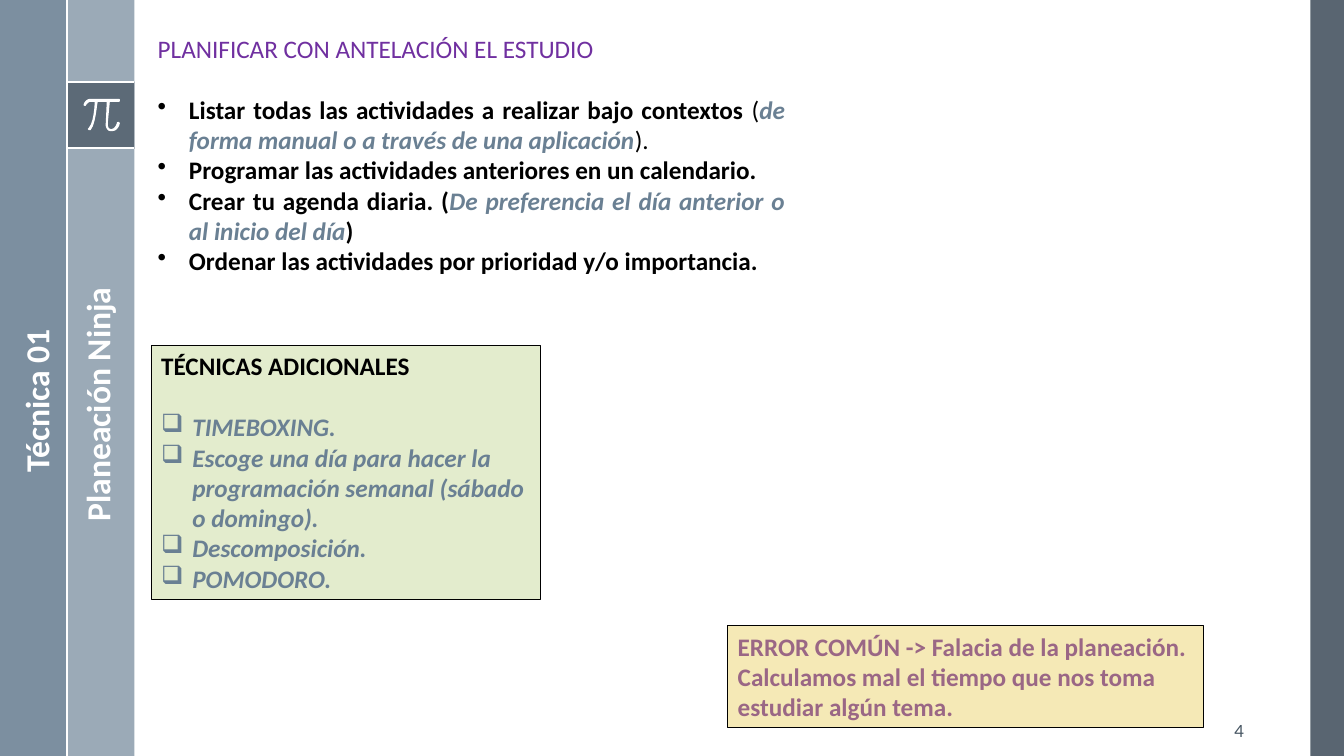
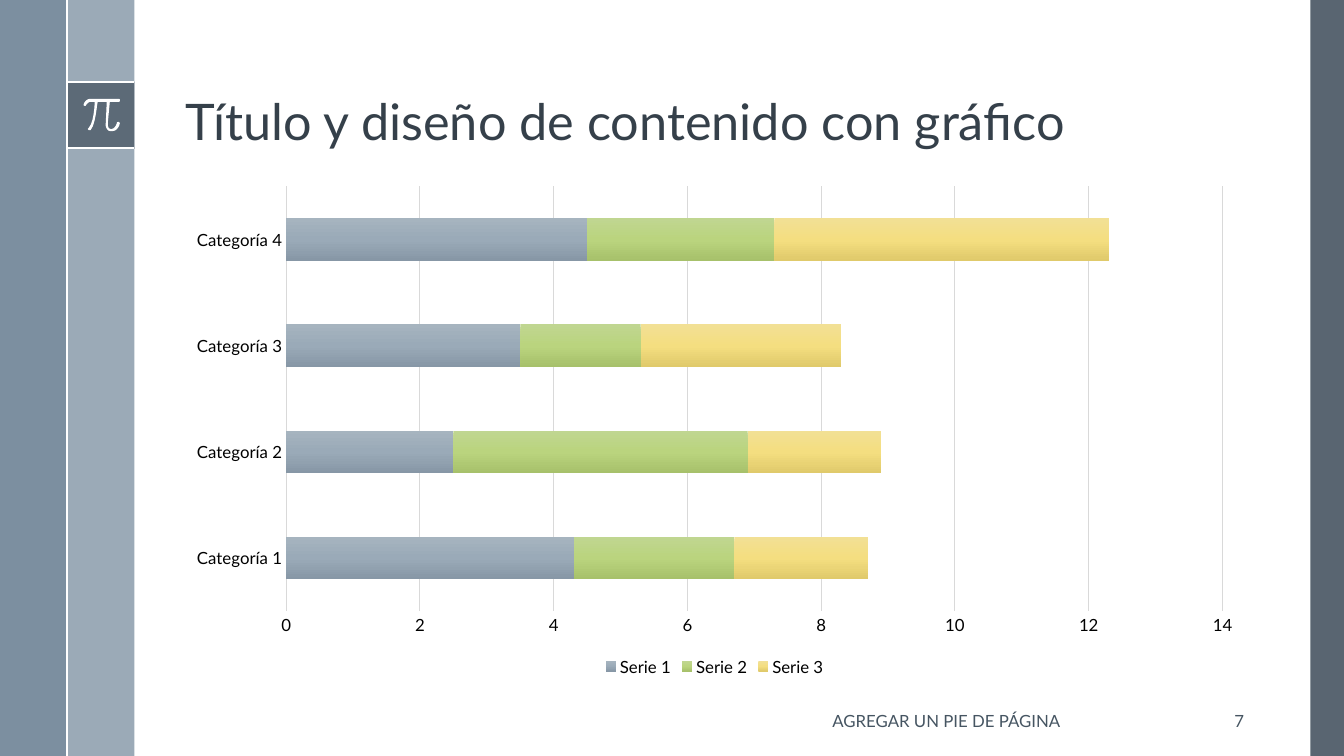
from copy import deepcopy
from dataclasses import dataclass
from typing import NamedTuple

from lxml import etree
from pptx import Presentation
from pptx.chart.data import CategoryChartData
from pptx.dml.color import RGBColor
from pptx.enum.chart import XL_CHART_TYPE, XL_LEGEND_POSITION, XL_TICK_MARK
from pptx.enum.shapes import MSO_CONNECTOR, MSO_SHAPE
from pptx.enum.text import MSO_ANCHOR, MSO_AUTO_SIZE, PP_ALIGN
from pptx.oxml.ns import qn
from pptx.util import Inches, Pt

RECTANGLE = MSO_SHAPE.RECTANGLE
STRAIGHT = MSO_CONNECTOR.STRAIGHT
LEFT, CENTER, RIGHT, JUSTIFY = PP_ALIGN.LEFT, PP_ALIGN.CENTER, PP_ALIGN.RIGHT, PP_ALIGN.JUSTIFY
TOP, MIDDLE, BOTTOM = MSO_ANCHOR.TOP, MSO_ANCHOR.MIDDLE, MSO_ANCHOR.BOTTOM
GROW, FIXED = MSO_AUTO_SIZE.SHAPE_TO_FIT_TEXT, MSO_AUTO_SIZE.NONE
STACKED_BARS = XL_CHART_TYPE.BAR_STACKED
LEGEND_BOTTOM = XL_LEGEND_POSITION.BOTTOM
NO_TICKS = XL_TICK_MARK.NONE

COLORS = {
    "white": "FFFFFF", "black": "000000", "slate": "475562", "steel": "6A8093",
    "mist": "9BAAB7", "footer": "465562", "title": "35404A", "purple": "7030A0",
    "mauve": "9A6785", "sand": "F5E9B6", "sage": "E3ECCD", "grid": "D9D9D9",
}
BODY_FONT, THEME_FONT = "Calibri", "Lato"
WIDTH, HEIGHT = Inches(13.333), Inches(7.5)
COLUMN, ROW = WIDTH / 20, HEIGHT / 30
SYMBOL_UNIT = HEIGHT / 750
INDENT = Inches(0.31)
EMPTY_LINE = 22


class Frame(NamedTuple):
    column: float
    row: float
    columns: float
    rows: float

    def lengths(self) -> tuple[int, ...]:
        return (round(self.column * COLUMN), round(self.row * ROW),
                round(self.columns * COLUMN), round(self.rows * ROW))


@dataclass
class Span:
    text: str
    color: str = "black"
    bold: bool = False
    italic: bool = False
    size: float = 18
    font: str = BODY_FONT


@dataclass
class Para:
    spans: list[Span]
    align: PP_ALIGN = LEFT
    bullet: str = ""
    before: float = 0
    line_spacing: float = 1


class Band(NamedTuple):
    frame: Frame
    color: str
    opacity: int


class Rule(NamedTuple):
    start: tuple[float, float]
    end: tuple[float, float]


class Series(NamedTuple):
    name: str
    values: tuple[float, ...]
    stops: tuple[str, ...]


BANDS = [
    Band(Frame(19.5, 0, 0.5, 30), "slate", 90),
    Band(Frame(1, 0, 1, 30), "mist", 100),
    Band(Frame(0, 0, 1, 30), "steel", 88),
    Band(Frame(1, 3.24, 1, 2.67), "slate", 75),
]
RULES = [Rule((1, 3.24), (2, 3.24)), Rule((1, 5.88), (2, 5.88)), Rule((1, 0), (1, 30))]
PI_START = (118, 98)
PI_SEGMENTS = [
    [(90, 98)],
    [(85, 98), (83, 103), (83, 104)], [(83, 104), (83, 105), (84, 105)], [(85, 105)],
    [(85, 105), (87, 101), (90, 101)], [(94, 101)],
    [(94, 105), (93, 122), (88, 127)], [(87, 128), (87, 128), (88, 129)], [(90, 129)],
    [(95, 123), (96, 105), (97, 101)], [(106, 101)], [(105, 122)],
    [(105, 122), (104, 126), (107, 129)], [(108, 130), (109, 130), (110, 130)],
    [(111, 130), (111, 130), (112, 130)], [(117, 130), (119, 123), (119, 122)],
    [(119, 122), (118, 121), (118, 121)], [(117, 121), (116, 121), (116, 122)],
    [(116, 122), (115, 127), (111, 128)], [(110, 128), (109, 128), (108, 127)],
    [(107, 126), (107, 123), (107, 122)], [(109, 101)], [(118, 101)],
    [(119, 101), (119, 100), (119, 100)], [(119, 99), (119, 98), (118, 98)],
]
CATEGORIES = [f"Categoría {number}" for number in range(1, 5)]
SERIES = [
    Series("Serie 1", (4.3, 2.5, 3.5, 4.5), ("A6B4BF", "9AAAB8", "8797A6")),
    Series("Serie 2", (2.4, 4.4, 1.8, 2.8), ("C0D691", "BAD47E", "A7C16B")),
    Series("Serie 3", (2, 2, 3, 5), ("F2E095", "F4DE80", "E0CA6B")),
]


def rgb(name: str) -> RGBColor:
    return RGBColor.from_string(COLORS[name])


def add_box(page, frame: Frame, color: str, opacity: int = 100, outline: str = ""):
    box = page.shapes.add_shape(RECTANGLE, *frame.lengths())
    box.shadow.inherit = False
    box.fill.solid()
    box.fill.fore_color.rgb = rgb(color)
    if opacity < 100:
        tint = box.fill._xPr.find(".//" + qn("a:srgbClr"))
        etree.SubElement(tint, qn("a:alpha"), val=str(opacity * 1000))
    if outline:
        box.line.color.rgb = rgb(outline)
        box.line.width = Pt(0.75)
    else:
        box.line.fill.background()
    return box


def add_rule(page, rule: Rule) -> None:
    (left, top), (right, bottom) = rule
    line = page.shapes.add_connector(STRAIGHT, round(left * COLUMN), round(top * ROW),
                                     round(right * COLUMN), round(bottom * ROW))
    line.line.color.rgb = rgb("white")
    line.line.width = Pt(1.5)
    etree.SubElement(line._element.spPr, qn("a:effectLst"))


def curve_point(points: list[tuple[float, float]], share: float) -> tuple[float, ...]:
    rest = 1 - share
    weights = (rest ** 3, 3 * rest ** 2 * share, 3 * rest * share ** 2, share ** 3)
    return tuple(sum(weight * point[axis] for weight, point in zip(weights, points))
                 for axis in (0, 1))


def add_pi(page, steps: int = 6) -> None:
    outline = [PI_START]
    for segment in PI_SEGMENTS:
        if len(segment) == 1:
            outline.append(segment[0])
        else:
            points = [outline[-1], *segment]
            outline += [curve_point(points, step / steps) for step in range(1, steps + 1)]
    corners = [(round(x * SYMBOL_UNIT), round(y * SYMBOL_UNIT)) for x, y in outline]
    builder = page.shapes.build_freeform(*corners[0])
    builder.add_line_segments(corners[1:], close=True)
    symbol = builder.convert_to_shape()
    symbol.shadow.inherit = False
    symbol.fill.solid()
    symbol.fill.fore_color.rgb = rgb("white")
    symbol.line.fill.background()


def write(box, paras: list[Para], anchor: MSO_ANCHOR = TOP, wrap: bool = True,
          fit: MSO_AUTO_SIZE = GROW) -> None:
    text = box.text_frame
    text.word_wrap = wrap
    text.auto_size = fit
    text.vertical_anchor = anchor
    for index, item in enumerate(paras):
        para = text.add_paragraph() if index else text.paragraphs[0]
        para.alignment = item.align
        para.space_before = Pt(item.before)
        para.line_spacing = item.line_spacing
        if item.bullet:
            properties = para._p.get_or_add_pPr()
            properties.set("marL", str(INDENT))
            properties.set("indent", str(-INDENT))
            etree.SubElement(properties, qn("a:buChar"), char=item.bullet)
        for part in item.spans:
            span = para.add_run()
            span.text = part.text
            span.font.name = part.font
            span.font.size = Pt(part.size)
            span.font.bold = part.bold
            span.font.italic = part.italic
            span.font.color.rgb = rgb(part.color)


def add_text(page, frame: Frame, paras: list[Para], anchor: MSO_ANCHOR = TOP,
             fit: MSO_AUTO_SIZE = FIXED) -> None:
    write(page.shapes.add_textbox(*frame.lengths()), paras, anchor, fit=fit)


def add_side_label(page, frame: Frame, label: str) -> None:
    box = page.shapes.add_textbox(*frame.lengths())
    box.rotation = 270
    write(box, [Para([Span(label, "white", bold=True, size=24)])], wrap=False)


def add_footer(page, frame: Frame, label: str, align: PP_ALIGN) -> None:
    span = Span(label, "footer", size=12, font=THEME_FONT)
    add_text(page, frame, [Para([span], align)], MIDDLE)


def add_page(deck):
    page = deck.slides.add_slide(deck.slide_layouts[6])
    for band in BANDS:
        add_box(page, band.frame, band.color, band.opacity)
    for rule in RULES:
        add_rule(page, rule)
    add_pi(page)
    return page


def style_font(font, size: float, color: str) -> None:
    font.name = THEME_FONT
    font.size = Pt(size)
    font.color.rgb = rgb(color)


def style_line(line) -> None:
    line.color.rgb = rgb("grid")
    line.width = Pt(0.75)


def add_bars(page, frame: Frame) -> None:
    data = CategoryChartData()
    data.categories = CATEGORIES
    for series in SERIES:
        data.add_series(series.name, series.values)
    chart = page.shapes.add_chart(STACKED_BARS, *frame.lengths(), data).chart
    style_font(chart.font, 10, "footer")
    chart.has_title = False
    chart.has_legend = True
    chart.legend.position = LEGEND_BOTTOM
    chart.legend.include_in_layout = False
    style_font(chart.legend.font, 12, "black")
    for axis in (chart.category_axis, chart.value_axis):
        axis.major_tick_mark = axis.minor_tick_mark = NO_TICKS
        style_font(axis.tick_labels.font, 12, "black")
    style_line(chart.category_axis.format.line)
    values = chart.value_axis
    values.minimum_scale, values.maximum_scale, values.major_unit = 0, 14, 2
    values.format.line.fill.background()
    values.has_major_gridlines = True
    style_line(values.major_gridlines.format.line)
    plot = chart.plots[0]
    plot.gap_width, plot.overlap, plot.vary_by_categories = 150, 100, False
    for bars, series in zip(plot.series, SERIES):
        fill = bars.format.fill
        fill.gradient()
        fill.gradient_angle = 270
        stops = bars._element.find(".//" + qn("a:gsLst"))
        stops.append(deepcopy(stops[-1]))
        for index, (stop, color) in enumerate(zip(fill.gradient_stops, series.stops)):
            stop.position = index / 2
            stop.color.rgb = RGBColor.from_string(color)


def build_planning(deck) -> None:
    page = add_page(deck)
    add_footer(page, Frame(17.66, 28.2, 1, 1.6), "4", RIGHT)
    add_side_label(page, Frame(-0.46, 15, 3.81, 2), "Planeación Ninja")
    add_side_label(page, Frame(-0.69, 14.88, 2.45, 2), "Técnica 01")
    steps = [
        [Span("Listar todas las actividades a realizar bajo contextos ", bold=True), Span("("),
         Span("de forma manual o a través de una aplicación", "steel", True, True), Span(").")],
        [Span("Programar las actividades anteriores en un calendario.", bold=True)],
        [Span("Crear tu agenda diaria. (", bold=True),
         Span("De preferencia el día anterior o al inicio del día", "steel", True, True),
         Span(")", bold=True)],
        [Span("Ordenar las actividades por prioridad y/o importancia.", bold=True)],
    ]
    heading = Para([Span("PLANIFICAR CON ANTELACIÓN EL ESTUDIO", "purple")], JUSTIFY)
    listed = [Para(spans, JUSTIFY, "•", 0 if index else EMPTY_LINE)
              for index, spans in enumerate(steps)]
    add_text(page, Frame(2.2, 1.12, 9.63, 10.08), [heading, *listed], fit=GROW)
    mistake = ("ERROR COMÚN -> Falacia de la planeación. Calculamos mal el tiempo "
               "que nos toma estudiar algún tema.")
    write(add_box(page, Frame(10.83, 24.84, 7.08, 4.04), "sand", outline="black"),
          [Para([Span(mistake, "mauve", bold=True)])])
    techniques = ["TIMEBOXING.",
                  "Escoge una día para hacer la programación semanal (sábado o domingo).",
                  "Descomposición.", "POMODORO."]
    extras = [Para([Span(name, "steel", True, True)], bullet="❑",
                   before=0 if index else EMPTY_LINE) for index, name in enumerate(techniques)]
    write(add_box(page, Frame(2.25, 13.72, 5.79, 10.08), "sage", outline="black"),
          [Para([Span("TÉCNICAS ADICIONALES", bold=True)]), *extras])


def build_chart(deck) -> None:
    page = add_page(deck)
    title = Span("Título y diseño de contenido con gráfico", "title", size=36, font=THEME_FONT)
    add_text(page, Frame(2.61, 0.76, 16.05, 5.44), [Para([title], line_spacing=0.9)], BOTTOM)
    add_bars(page, Frame(2.61, 7, 16.05, 20))
    add_footer(page, Frame(10.82, 27.8, 6.53, 1.6), "AGREGAR UN PIE DE PÁGINA", CENTER)
    add_footer(page, Frame(17.66, 27.8, 1, 1.6), "7", RIGHT)


deck = Presentation()
deck.slide_width, deck.slide_height = WIDTH, HEIGHT
build_planning(deck)
build_chart(deck)
deck.save("out.pptx")
